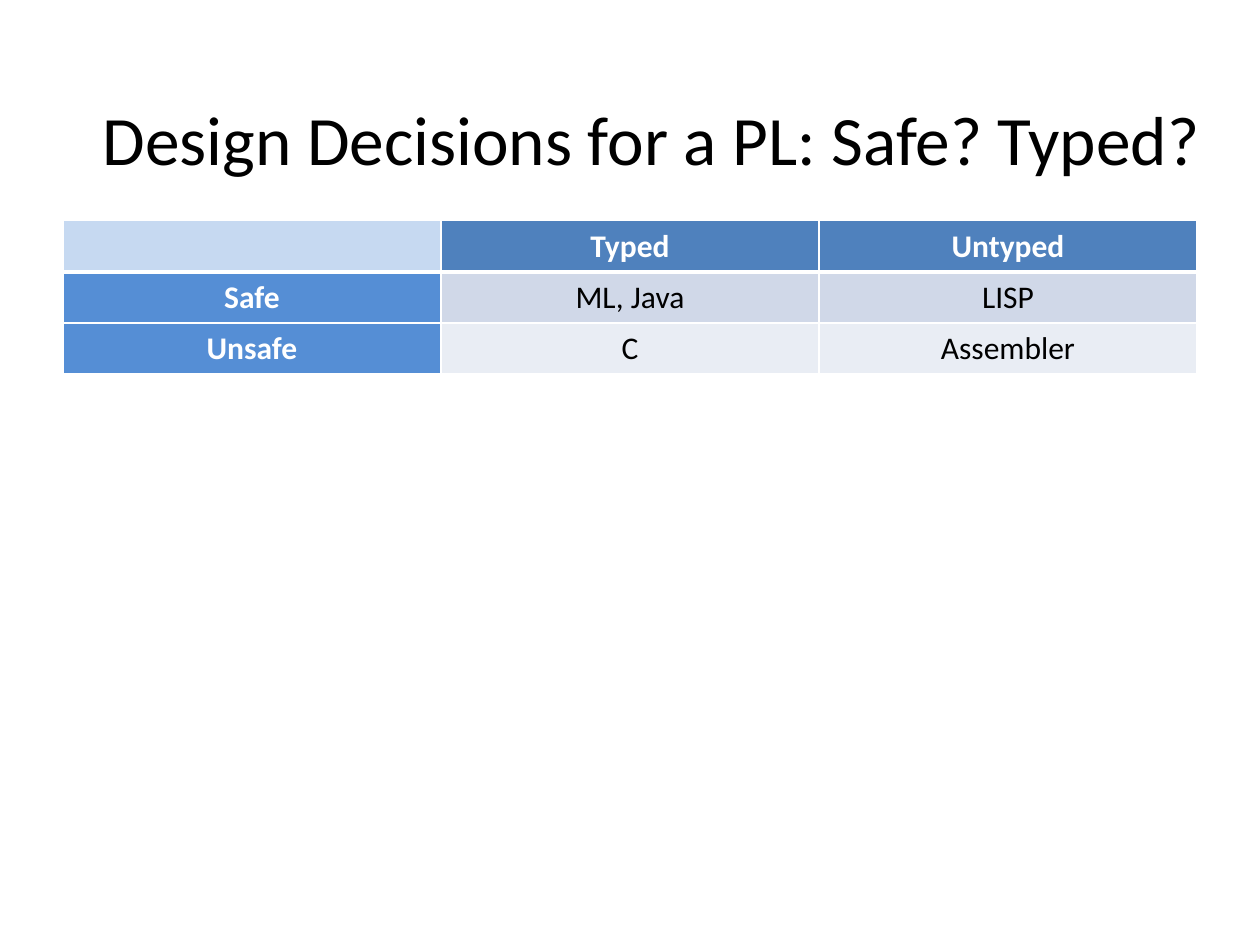
from dataclasses import dataclass

from lxml import etree
from pptx import Presentation
from pptx.dml.color import RGBColor
from pptx.enum.text import MSO_ANCHOR, PP_ALIGN
from pptx.oxml.ns import qn
from pptx.util import Cm, Pt

CENTER = PP_ALIGN.CENTER
MIDDLE = MSO_ANCHOR.MIDDLE

WHITE = RGBColor(0xFF, 0xFF, 0xFF)
BLACK = RGBColor(0x00, 0x00, 0x00)
CORNER_BLUE = RGBColor(0xC6, 0xD9, 0xF1)
HEADER_BLUE = RGBColor(0x4F, 0x81, 0xBD)
LABEL_BLUE = RGBColor(0x55, 0x8E, 0xD5)
BAND_DARK = RGBColor(0xD0, 0xD8, 0xE8)
BAND_LIGHT = RGBColor(0xE9, 0xED, 0xF4)

HEADING_FONT = {"name": "Calibri", "size": Pt(18), "bold": True}
BODY_FONT = {"name": "Calibri", "size": Pt(18), "bold": False}
TITLE_FONT = {"name": "Calibri", "size": Pt(39.6), "bold": False}

COLUMN_WIDTH = Cm(7.62)
ROW_HEIGHT = Cm(1.03)
THIN, THICK = Pt(1), Pt(3)


@dataclass
class TableRow:
    texts: tuple[str, ...]
    label_fill: RGBColor
    value_fill: RGBColor
    is_header: bool = False


ROWS = [
    TableRow(("", "Typed", "Untyped"), CORNER_BLUE, HEADER_BLUE, True),
    TableRow(("Safe", "ML, Java", "LISP"), LABEL_BLUE, BAND_DARK),
    TableRow(("Unsafe", "C", "Assembler"), LABEL_BLUE, BAND_LIGHT),
]


def write_text(paragraph, text: str, font_format: dict, color: RGBColor) -> None:
    paragraph.alignment = CENTER
    font = paragraph.font
    if text:
        run = paragraph.add_run()
        run.text = text
        font = run.font
    for attribute, value in font_format.items():
        setattr(font, attribute, value)
    font.color.rgb = color


def set_borders(cell, widths: dict[str, int]) -> None:
    properties = cell._tc.get_or_add_tcPr()
    for position, (side, width) in enumerate(widths.items()):
        line = etree.Element(qn(f"a:{side}"), w=str(width))
        fill = etree.SubElement(line, qn("a:solidFill"))
        etree.SubElement(fill, qn("a:srgbClr"), val=str(WHITE))
        properties.insert(position, line)


def add_decision_table(slide, rows: list[TableRow]) -> None:
    column_count = len(rows[0].texts)
    table = slide.shapes.add_table(
        len(rows), column_count, Cm(1.27), Cm(4.45),
        COLUMN_WIDTH * column_count, ROW_HEIGHT * len(rows),
    ).table
    for row_index, row in enumerate(rows):
        top = THICK if row_index and rows[row_index - 1].is_header else THIN
        bottom = THICK if row.is_header else THIN
        for column_index, text in enumerate(row.texts):
            is_label = column_index == 0
            is_heading = is_label or row.is_header
            cell = table.cell(row_index, column_index)
            cell.fill.solid()
            cell.fill.fore_color.rgb = row.label_fill if is_label else row.value_fill
            set_borders(cell, {"lnL": THIN, "lnR": THIN, "lnT": top, "lnB": bottom})
            write_text(
                cell.text_frame.paragraphs[0], text,
                HEADING_FONT if is_heading else BODY_FONT,
                WHITE if is_heading else BLACK,
            )


def add_title(slide, text: str) -> None:
    title = slide.shapes.add_textbox(Cm(1.7), Cm(1.19), Cm(22.86), Cm(3.18))
    frame = title.text_frame
    frame.word_wrap = True
    frame.vertical_anchor = MIDDLE
    write_text(frame.paragraphs[0], text, TITLE_FONT, BLACK)


def main() -> None:
    presentation = Presentation()
    presentation.slide_width = Cm(25.4)
    presentation.slide_height = Cm(19.05)
    slide = presentation.slides.add_slide(presentation.slide_layouts[6])
    add_decision_table(slide, ROWS)
    add_title(slide, "Design Decisions for a PL: Safe? Typed?")
    presentation.save("out.pptx")


if __name__ == "__main__":
    main()
